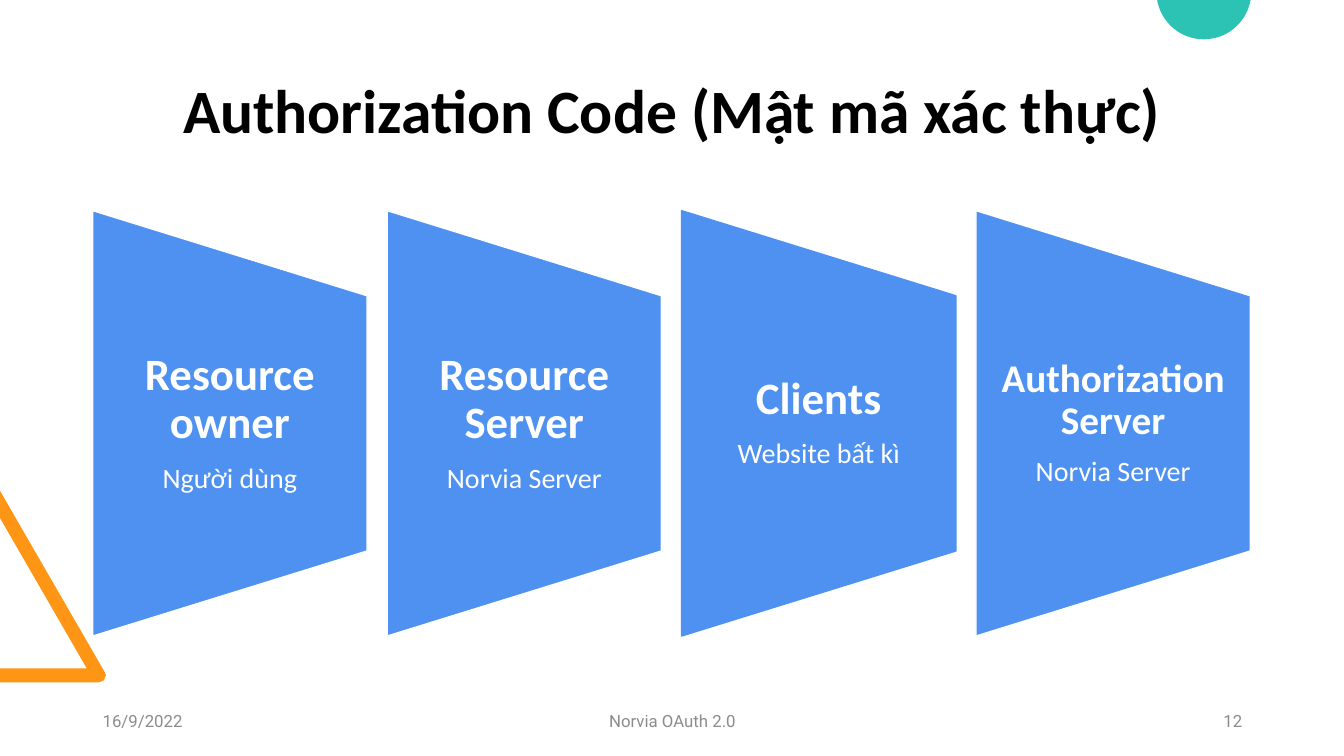
from dataclasses import dataclass
from math import asin, cos, pi, sin

from pptx import Presentation
from pptx.dml.color import RGBColor
from pptx.enum.shapes import MSO_SHAPE
from pptx.enum.text import MSO_ANCHOR, PP_ALIGN
from pptx.util import Inches, Pt

TRAPEZOID = MSO_SHAPE.FLOWCHART_MANUAL_OPERATION
MIDDLE = MSO_ANCHOR.MIDDLE
LEFT, CENTER, RIGHT = PP_ALIGN.LEFT, PP_ALIGN.CENTER, PP_ALIGN.RIGHT
TITLE_ONLY = 5


@dataclass(frozen=True)
class Theme:
    blue: str = "4E91F0"
    orange: str = "FF9514"
    teal: str = "2CC3B4"
    white: str = "FFFFFF"
    black: str = "000000"
    gray: str = "8C8C8C"
    head: str = "Calibri"
    foot: str = "Roboto"
    title: int = 44
    role: int = 32
    small_role: int = 28
    note: int = 20
    footer: int = 12


THEME = Theme()

# role, explanation, role size, outline colour
ROLES = [
    ("Resource owner", "Người dùng", THEME.role, THEME.white),
    ("Resource Server", "Norvia Server", THEME.role, THEME.white),
    ("Clients", "Website bất kì", THEME.role, THEME.blue),
    ("Authorization Server", "Norvia Server", THEME.small_role, THEME.white),
]
FOOTER = [
    ("16/9/2022", 0.92, 3, LEFT),
    ("Norvia OAuth 2.0", 4.42, 4.5, CENTER),
    ("12", 9.42, 3, RIGHT),
]
TRIANGLE = [
    (0, 6.77), (0, 6.63), (0.86, 6.63), (0, 5.14), (0, 4.87),
    (1.04, 6.67), (1.05, 6.7), (1.03, 6.75), (0.98, 6.77),
]


def paint(shape, fill, line=None):
    shape.shadow.inherit = False
    shape.fill.solid()
    shape.fill.fore_color.rgb = RGBColor.from_string(fill)
    if line:
        shape.line.color.rgb = RGBColor.from_string(line)
        shape.line.width = Pt(1)
    else:
        shape.line.fill.background()


def style(para, size, color, align, font=THEME.head, bold=False):
    para.alignment = align
    for run in para.runs:
        run.font.name = font
        run.font.size = Pt(size)
        run.font.bold = bold
        run.font.color.rgb = RGBColor.from_string(color)


def add_outline(slide, points, fill):
    spots = [(Inches(x), Inches(y)) for x, y in points]
    pen = slide.shapes.build_freeform(*spots[0])
    pen.add_line_segments(spots[1:], close=True)
    paint(pen.convert_to_shape(), fill)


def disc_points(mid, top, radius, steps=48):
    """Trace the part of a disc that lies below the slide's top edge."""
    start = asin(-top / radius)
    sweep = pi - 2 * start
    angles = [start + sweep * i / steps for i in range(steps + 1)]
    return [(mid + radius * cos(a), top + radius * sin(a)) for a in angles]


def add_box(slide, x, y, width, height):
    box = slide.shapes.add_textbox(
        Inches(x), Inches(y), Inches(width), Inches(height))
    frame = box.text_frame
    frame.word_wrap = True
    frame.vertical_anchor = MIDDLE
    return frame


def add_title(slide, text):
    title = slide.shapes.title
    title.left, title.top = Inches(0.92), Inches(0.4)
    title.width, title.height = Inches(11.5), Inches(1.45)
    frame = title.text_frame
    frame.text = text
    frame.vertical_anchor = MIDDLE
    para = frame.paragraphs[0]
    para.line_spacing = 0.9
    style(para, THEME.title, THEME.black, CENTER, bold=True)


def add_footer(slide, text, x, width, align):
    frame = add_box(slide, x, 6.95, width, 0.4)
    frame.text = text
    style(frame.paragraphs[0], THEME.footer, THEME.gray, align, THEME.foot)


def add_role(slide, x, role, note, size, line):
    """Draw a trapezoid turned on its side, with its label on top."""
    width, height, mid = 2.72, 4.22, 4.2
    shape = slide.shapes.add_shape(
        TRAPEZOID, Inches(x + (width - height) / 2), Inches(mid - width / 2),
        Inches(height), Inches(width))
    shape.rotation = 270
    paint(shape, THEME.blue, line)

    frame = add_box(slide, x, 2.93, width, 2.53)
    frame.margin_left = frame.margin_right = Pt(size / 2)
    frame.margin_top = frame.margin_bottom = 0
    frame.text = f"{role}\n{note}"
    head, body = frame.paragraphs
    head.line_spacing = body.line_spacing = 0.9
    head.space_after = Pt(size * 0.35)
    style(head, size, THEME.white, CENTER, bold=True)
    style(body, THEME.note, THEME.white, CENTER)


def main():
    deck = Presentation()
    deck.slide_width, deck.slide_height = Inches(13.33), Inches(7.5)
    slide = deck.slides.add_slide(deck.slide_layouts[TITLE_ONLY])
    add_outline(slide, TRIANGLE, THEME.orange)
    add_outline(slide, disc_points(11.94, -0.08, 0.47), THEME.teal)
    add_title(slide, "Authorization Code (Mật mã xác thực)")
    for item in FOOTER:
        add_footer(slide, *item)
    for i, item in enumerate(ROLES):
        add_role(slide, 0.92 + 2.92 * i, *item)
    deck.save("out.pptx")


if __name__ == "__main__":
    main()
